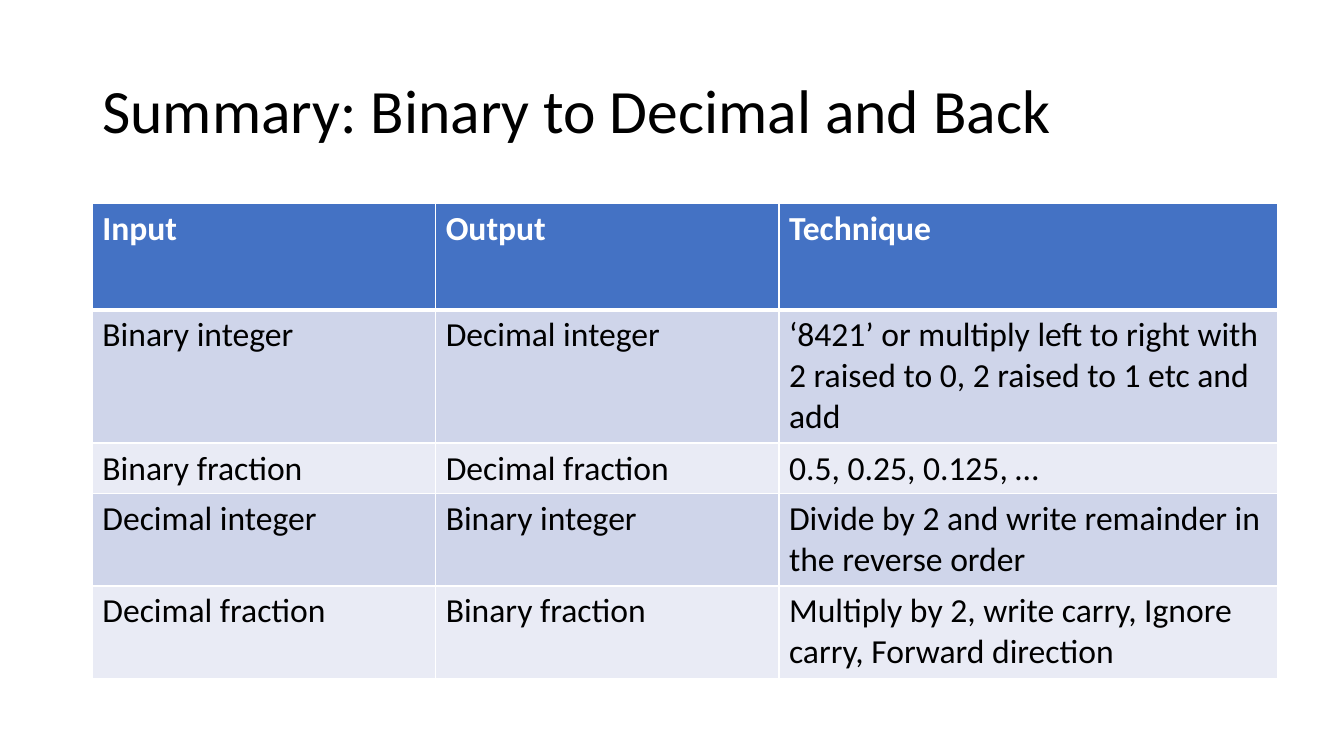
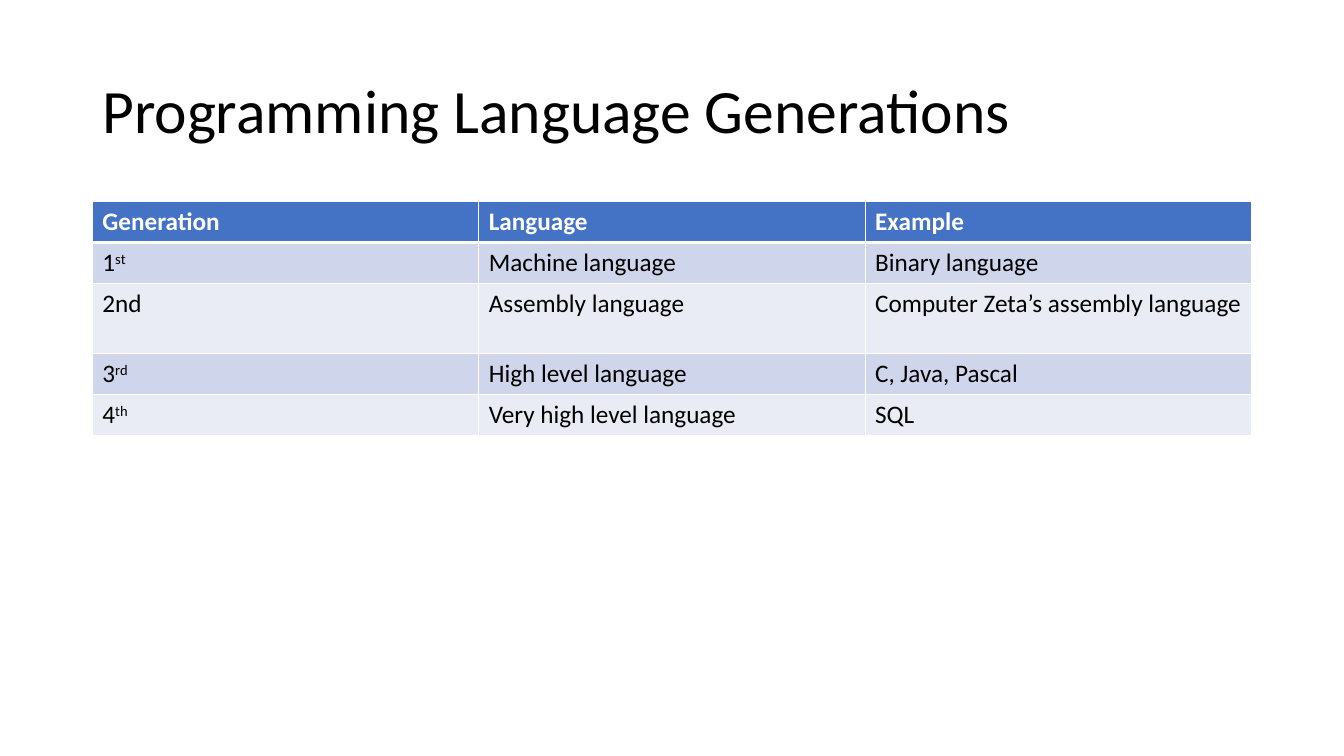
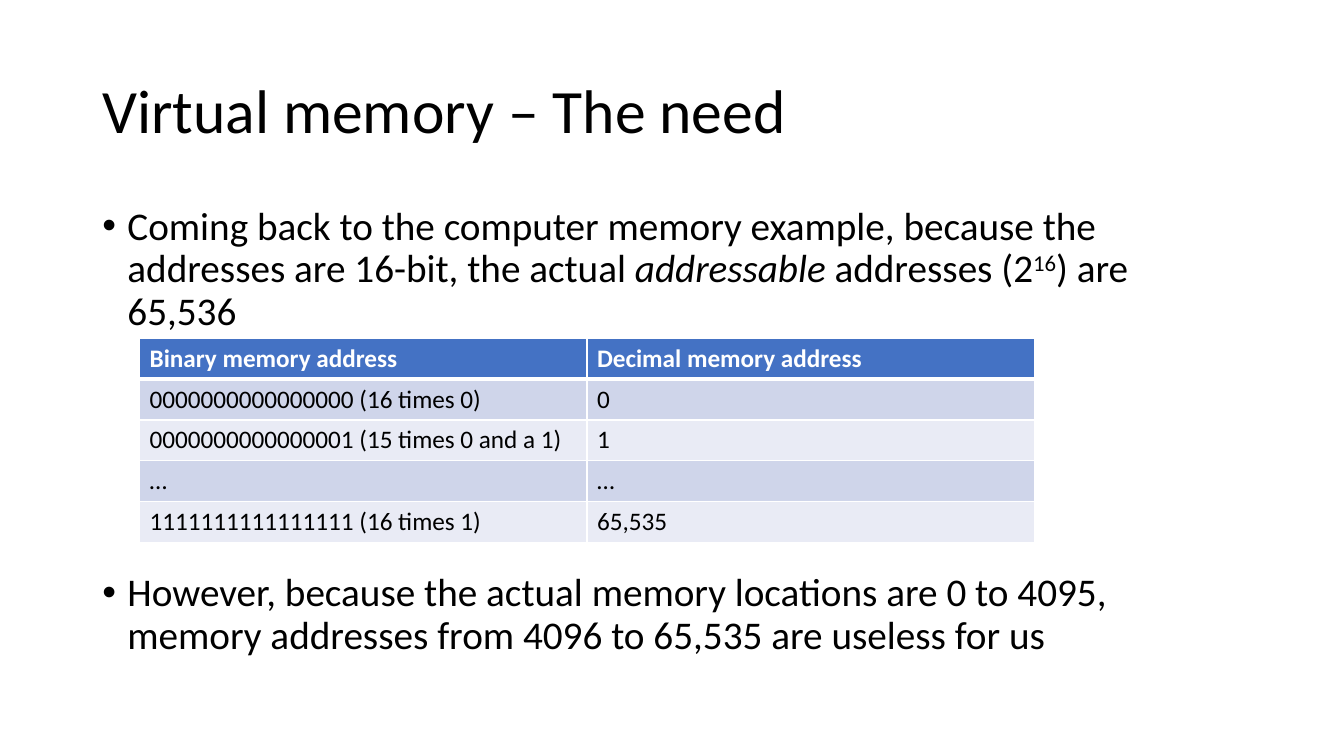
import dataclasses

import pptx
import pptx.dml.color
import pptx.enum.text
import pptx.oxml
import pptx.oxml.ns
import pptx.util

PX = 9525  # EMU per px, 96 px to the inch


@dataclasses.dataclass(frozen=True)
class Theme:
    font: str = "Calibri"
    ink: str = "000000"
    paper: str = "FFFFFF"
    header: str = "4472C4"
    bands: tuple = ("CFD5EA", "E9EBF5")
    title_size: int = 44
    body_size: int = 28
    large_cell_size: int = 24
    cell_size: int = 18
    line_spacing: float = 0.9
    thin_rule: int = 1
    thick_rule: int = 3


THEME = Theme()


def px(length):
    return pptx.util.Emu(length * PX)


def rgb(color):
    return pptx.dml.color.RGBColor.from_string(color)


def write(paragraph, text, *, size, color=THEME.ink, bold=False, italic=False, raised=False):
    """Add one formatted run to the paragraph."""
    run = paragraph.add_run()
    run.text = text
    run.font.name = THEME.font
    run.font.size = pptx.util.Pt(size)
    run.font.color.rgb = rgb(color)
    run.font.bold = bold
    run.font.italic = italic
    if raised:
        run._r.get_or_add_rPr().set("baseline", "30000")


def write_pieces(paragraph, pieces, **style):
    """Write a plain string, or a list of (text, extra format) pairs."""
    if isinstance(pieces, str):
        pieces = [(pieces, {})]
    for text, extra in pieces:
        write(paragraph, text, **style, **extra)


def ordinal(number, suffix):
    return [(number, {}), (suffix, {"raised": True})]


def add_xml(parent, xml):
    namespace = pptx.oxml.ns.nsdecls("a")
    parent.append(pptx.oxml.parse_xml(xml.replace(" ", f" {namespace} ", 1)))


class Deck:
    def __init__(self, theme):
        self.theme = theme
        self.presentation = pptx.Presentation()
        self.presentation.slide_width = px(1280)
        self.presentation.slide_height = px(720)
        self.slide = None

    def start_slide(self, title):
        self.slide = self.presentation.slides.add_slide(self.presentation.slide_layouts[6])
        frame = self.text_frame(88, 39, 1104, 139)
        frame.vertical_anchor = pptx.enum.text.MSO_ANCHOR.MIDDLE
        heading = frame.paragraphs[0]
        heading.line_spacing = self.theme.line_spacing
        write(heading, title, size=self.theme.title_size)

    def text_frame(self, left, top, width, height):
        frame = self.slide.shapes.add_textbox(*map(px, (left, top, width, height))).text_frame
        frame.word_wrap = True
        return frame

    def bullets(self, left, top, width, height, points, gap):
        """Bulleted points, with gap in pt between one and the next."""
        frame = self.text_frame(left, top, width, height)
        for index, point in enumerate(points):
            paragraph = frame.add_paragraph() if index else frame.paragraphs[0]
            paragraph.line_spacing = self.theme.line_spacing
            if index:
                paragraph.space_before = pptx.util.Pt(gap)
            properties = paragraph._p.get_or_add_pPr()
            properties.set("marL", str(px(24)))
            properties.set("indent", str(px(-24)))
            add_xml(properties, '<a:buFont typeface="Arial"/>')
            add_xml(properties, '<a:buChar char="•"/>')
            write_pieces(paragraph, point, size=self.theme.body_size)

    def rule_cell(self, cell, top, bottom):
        thin = self.theme.thin_rule
        for side, width in zip("LRTB", (thin, thin, top, bottom)):
            add_xml(
                cell._tc.get_or_add_tcPr(),
                f'<a:ln{side} w="{pptx.util.Pt(width)}"><a:solidFill>'
                f'<a:srgbClr val="{self.theme.paper}"/></a:solidFill></a:ln{side}>',
            )

    def table(self, left, top, widths, heights, rows, size):
        theme = self.theme
        grid = self.slide.shapes.add_table(
            len(rows), len(widths), px(left), px(top), px(sum(widths)), px(sum(heights))
        ).table
        grid.first_row = grid.horz_banding = False
        for column, width in zip(grid.columns, widths):
            column.width = px(width)
        for row_index, (row, height) in enumerate(zip(rows, heights)):
            grid.rows[row_index].height = px(height)
            is_header = row_index == 0
            fill = theme.header if is_header else theme.bands[(row_index - 1) % 2]
            # The thick rule lies between the header and the first row
            above = theme.thick_rule if row_index == 1 else theme.thin_rule
            below = theme.thick_rule if is_header else theme.thin_rule
            for column_index, pieces in enumerate(row):
                cell = grid.cell(row_index, column_index)
                self.rule_cell(cell, above, below)
                cell.fill.solid()
                cell.fill.fore_color.rgb = rgb(fill)
                write_pieces(
                    cell.text_frame.paragraphs[0], pieces, size=size, bold=is_header,
                    color=theme.paper if is_header else theme.ink,
                )


def main():
    deck = Deck(THEME)

    # Number conversions
    deck.start_slide("Summary: Binary to Decimal and Back")
    conversions = [
        ("Input", "Output", "Technique"),
        ("Binary integer", "Decimal integer",
         "‘8421’ or multiply left to right with 2 raised to 0, 2 raised to 1 etc and add"),
        ("Binary fraction", "Decimal fraction", "0.5, 0.25, 0.125, …"),
        ("Decimal integer", "Binary integer",
         "Divide by 2 and write remainder in the reverse order"),
        ("Decimal fraction", "Binary fraction",
         "Multiply by 2, write carry, Ignore carry, Forward direction"),
    ]
    deck.table(88, 194, [327, 327, 475], [101, 127, 48, 88, 88], conversions,
               THEME.large_cell_size)

    # Language generations
    deck.start_slide("Programming Language Generations")
    generations = [
        ("Generation", "Language", "Example"),
        (ordinal("1", "st"), "Machine language", "Binary language"),
        ("2nd", "Assembly language", "Computer Zeta’s assembly language"),
        (ordinal("3", "rd"), "High level language", "C, Java, Pascal"),
        (ordinal("4", "th"), "Very high level language", "SQL"),
    ]
    deck.table(88, 192, [368] * 3, [39, 39, 67, 39, 39], generations, THEME.cell_size)

    # Virtual memory: the gap between the points holds the address table
    deck.start_slide("Virtual memory – The need")
    need = [
        ("Coming back to the computer memory example, because the addresses are 16-bit, "
         "the actual ", {}),
        ("addressable", {"italic": True}),
        (" addresses (2", {}),
        ("16", {"raised": True}),
        (") are 65,536", {}),
    ]
    limit = ("However, because the actual memory locations are 0 to 4095, "
             "memory addresses from 4096 to 65,535 are useless for us")
    deck.bullets(88, 192, 1104, 457, [need, limit], gap=171)
    addresses = [
        ("Binary memory address", "Decimal memory address"),
        ("0000000000000000 (16 times 0)", "0"),
        ("0000000000000001 (15 times 0 and a 1)", "1"),
        ("…", "…"),
        ("1111111111111111 (16 times 1)", "65,535"),
    ]
    deck.table(133, 322, [426] * 2, [39] * 5, addresses, THEME.cell_size)

    deck.presentation.save("out.pptx")


if __name__ == "__main__":
    main()
